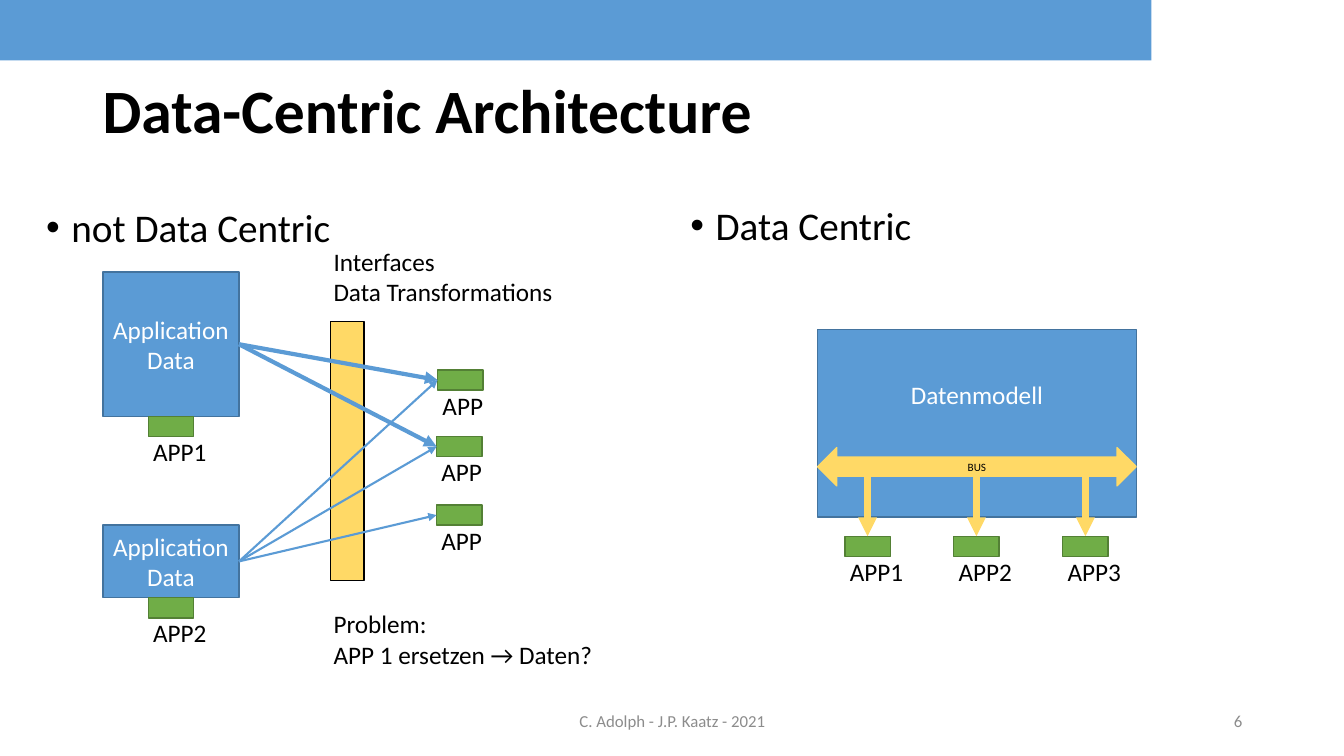
from lxml import etree
from pptx import Presentation
from pptx.dml.color import RGBColor
from pptx.enum import shapes, text
from pptx.oxml import ns
from pptx.util import Inches, Pt

COLORS = {
    "white": "FFFFFF", "black": "000000", "gray": "8C8C8C",
    "blue": "5B9BD5", "dark blue": "43739E",
    "green": "70AD47", "dark green": "538035", "yellow": "FFD966",
}
SHAPE = shapes.MSO_SHAPE
ALIGN = text.PP_ALIGN
MIDDLE = text.MSO_ANCHOR.MIDDLE
PORT_WIDTH, PORT_HEIGHT = 0.45, 0.2


def color(name):
    return RGBColor.from_string(COLORS[name])


def add_xml(parent, tag, **attributes):
    return etree.SubElement(parent, ns.qn(tag), attributes)


class SlideBuilder:
    font_name = "Calibri"

    def __init__(self, slide):
        self.slide = slide

    def set_text(self, shape, lines, size, font_color="black", align=ALIGN.LEFT, bold=False):
        frame = shape.text_frame
        frame.text = "\n".join(lines)
        for paragraph in frame.paragraphs:
            paragraph.alignment = align
            font = paragraph.font
            font.name, font.size, font.bold = self.font_name, Pt(size), bold
            font.color.rgb = color(font_color)
        return frame

    def box(self, left, top, width, height, fill, line=None, kind=SHAPE.RECTANGLE):
        shape = self.slide.shapes.add_shape(
            kind, Inches(left), Inches(top), Inches(width), Inches(height))
        shape.shadow.inherit = False
        shape.fill.solid()
        shape.fill.fore_color.rgb = color(fill)
        if line:
            shape.line.color.rgb = color(line)
            shape.line.width = Pt(1)
        else:
            shape.line.fill.background()
        return shape

    def label(self, left, top, width, height, lines, size=18, anchor=None, wrap=True, **style):
        shape = self.slide.shapes.add_textbox(
            Inches(left), Inches(top), Inches(width), Inches(height))
        frame = self.set_text(shape, lines, size, **style)
        frame.word_wrap = wrap
        if anchor is not None:
            frame.vertical_anchor = anchor
        return frame

    def bullet(self, left, top, line):
        frame = self.label(left, top, 5.67, 4.76, [line], 28)
        paragraph = frame.paragraphs[0]
        paragraph.line_spacing = 0.9
        paragraph.space_before = Pt(10)
        properties = paragraph._p.get_or_add_pPr()
        properties.set("marL", str(Inches(0.25)))
        properties.set("indent", str(Inches(-0.25)))
        bullet_font = etree.Element(ns.qn("a:buFont"), typeface="Arial")
        bullet_char = etree.Element(ns.qn("a:buChar"), char="•")
        default_run = properties.find(ns.qn("a:defRPr"))
        default_run.addprevious(bullet_font)
        default_run.addprevious(bullet_char)

    def application(self, left, top, height):
        shape = self.box(left, top, 1.35, height, "blue", "dark blue")
        self.set_text(shape, ["Application", "Data"], 18, "white", ALIGN.CENTER)

    def port(self, left, top, name):
        """Green connection point with its app name below."""
        self.label(left - 0.05, top + 0.15, 0.9, 0.4, [name])
        self.box(left, top, PORT_WIDTH, PORT_HEIGHT, "green", "dark green")

    def arrow(self, start, end, line_color, width):
        connector = self.slide.shapes.add_connector(
            shapes.MSO_CONNECTOR.STRAIGHT, *map(Inches, (*start, *end)))
        connector.line.color.rgb = color(line_color)
        connector.line.width = Pt(width)
        add_xml(connector.line._get_or_add_ln(), "a:tailEnd", type="triangle")
        add_xml(connector._element.spPr, "a:effectLst")


def add_frame(builder):
    """Header bar, title and footer."""
    builder.box(0, 0, 11.42, 0.6, "blue")
    title = builder.label(0.92, 0.4, 11.5, 1.45, ["Data-Centric Architecture"],
                          44, MIDDLE, bold=True)
    title.paragraphs[0].line_spacing = 0.9
    builder.label(4.42, 6.95, 4.5, 0.4, ["C. Adolph - J.P. Kaatz - 2021"], 12, MIDDLE,
                  font_color="gray", align=ALIGN.CENTER)
    builder.label(9.42, 6.95, 3, 0.4, ["6"], 12, MIDDLE,
                  font_color="gray", align=ALIGN.RIGHT)


def add_not_data_centric(builder):
    builder.bullet(0.36, 2.02, "not Data Centric")
    builder.box(3.28, 3.19, 0.33, 2.57, "yellow", "black")
    builder.label(3.21, 2.39, 2.4, 0.71, ["Interfaces", "Data Transformations"], wrap=False)
    builder.label(3.21, 5.99, 2.82, 0.71, ["Problem:", "APP 1 ersetzen → Daten?"], wrap=False)

    targets = [(4.34, 3.67), (4.33, 4.33), (4.33, 5.01)]
    for left, top in targets:
        builder.port(left, top, "APP")

    applications = [("APP1", 2.7, 1.43, 3, targets[:2]), ("APP2", 5.21, 0.72, 1.5, targets)]
    for name, top, height, width, linked in applications:
        builder.application(1.02, top, height)
        builder.port(1.47, top + height, name)
        for target_left, target_top in linked:
            builder.arrow((2.37, top + height / 2),
                          (target_left, target_top + PORT_HEIGHT / 2), "blue", width)


def add_data_centric(builder):
    builder.bullet(6.75, 2, "Data Centric")
    model = builder.box(8.11, 3.27, 3.16, 1.86, "blue", "dark blue")
    frame = builder.set_text(model, ["Datenmodell"], 18, "white", ALIGN.CENTER)
    frame.margin_bottom = Inches(0.62)
    bus = builder.box(8.11, 4.44, 3.16, 0.38, "yellow", "yellow", SHAPE.LEFT_RIGHT_ARROW)
    builder.set_text(bus, ["BUS"], 8, align=ALIGN.CENTER)

    for index in range(3):
        left, top = 8.38 + 1.08 * index, 5.32
        center = left + PORT_WIDTH / 2
        builder.port(left, top, f"APP{index + 1}")
        builder.arrow((center, 4.67), (center, top), "yellow", 4.5)


def main():
    presentation = Presentation()
    presentation.slide_width, presentation.slide_height = Inches(13.33), Inches(7.5)
    builder = SlideBuilder(presentation.slides.add_slide(presentation.slide_layouts[6]))
    add_frame(builder)
    add_not_data_centric(builder)
    add_data_centric(builder)
    presentation.save("out.pptx")


if __name__ == "__main__":
    main()
